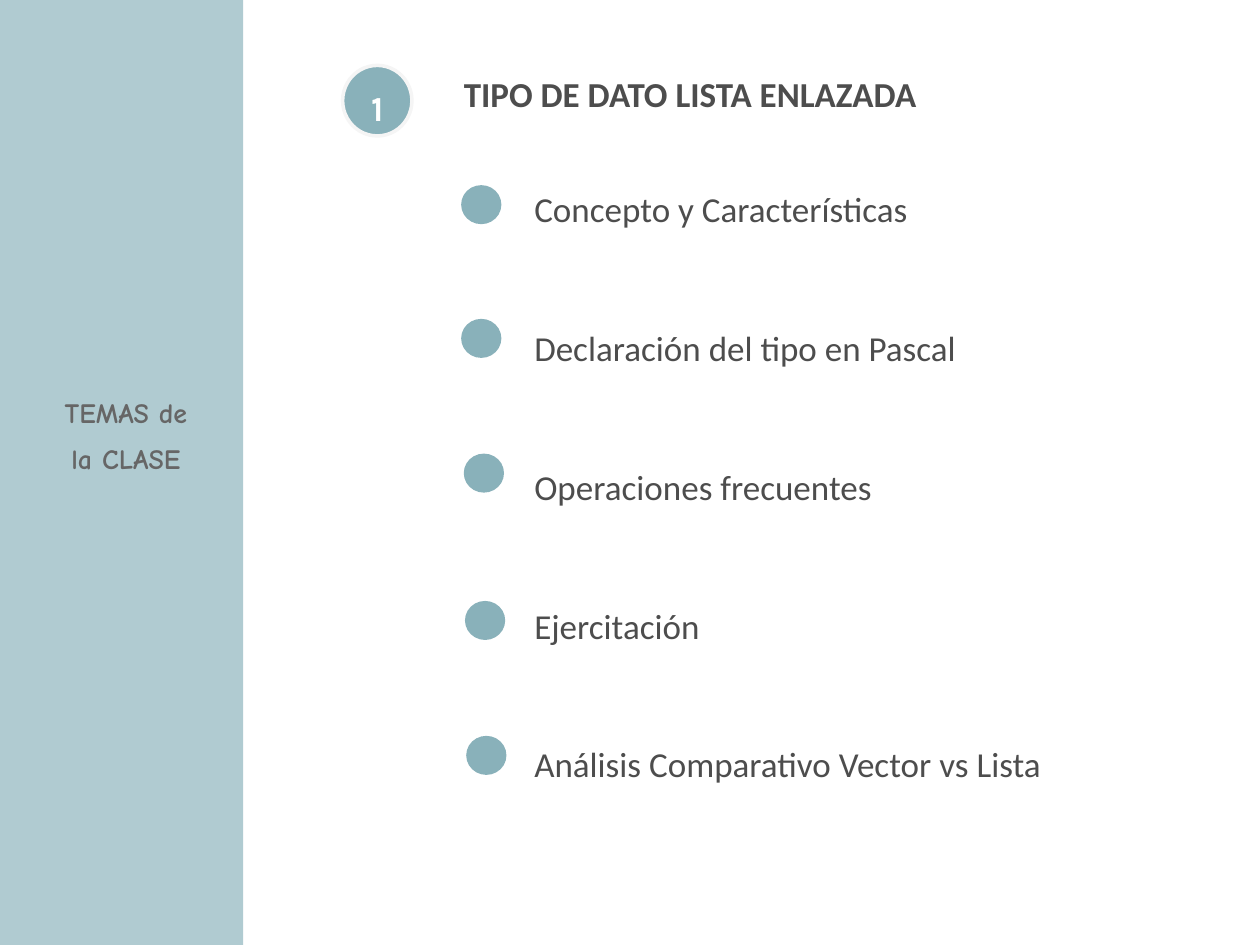
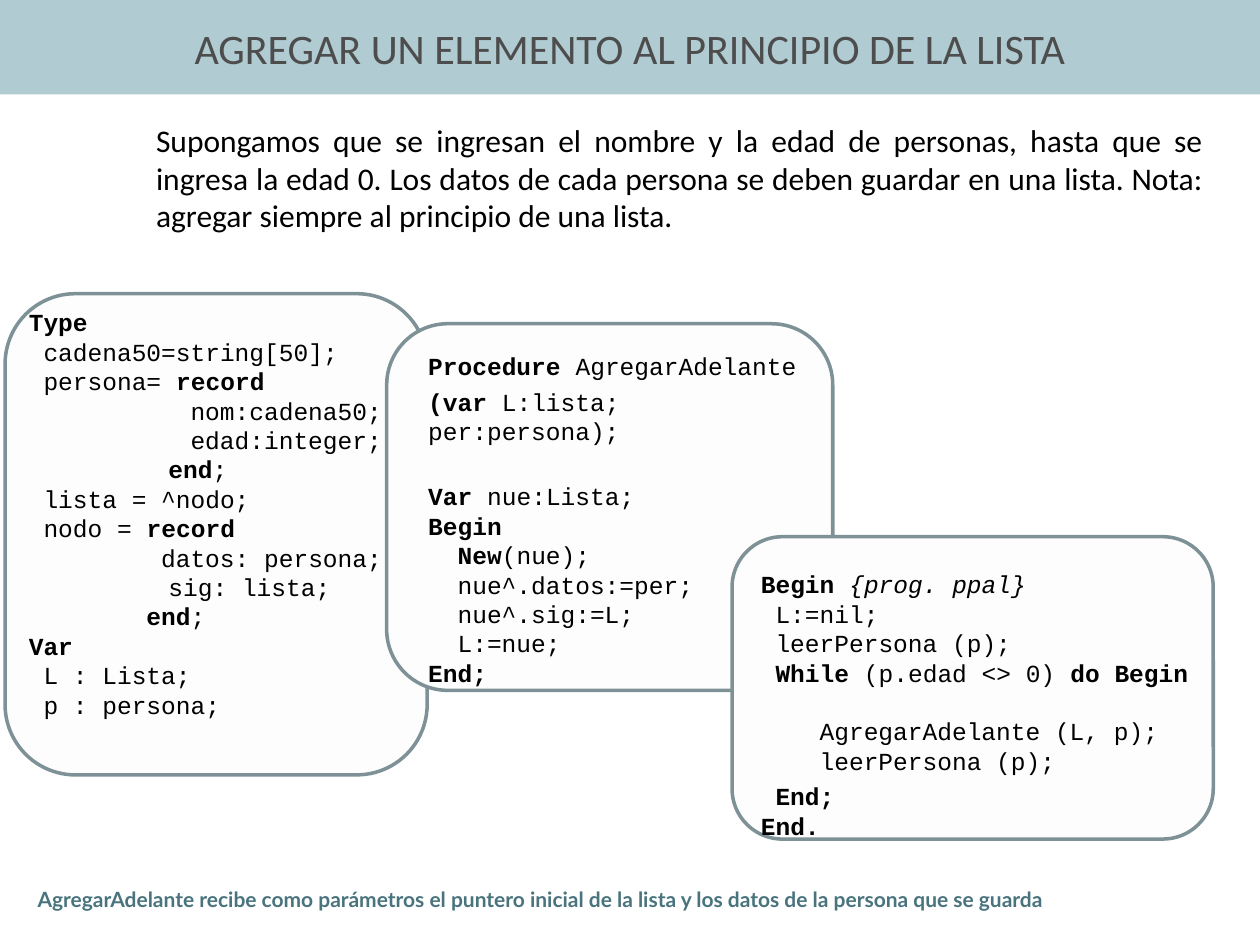
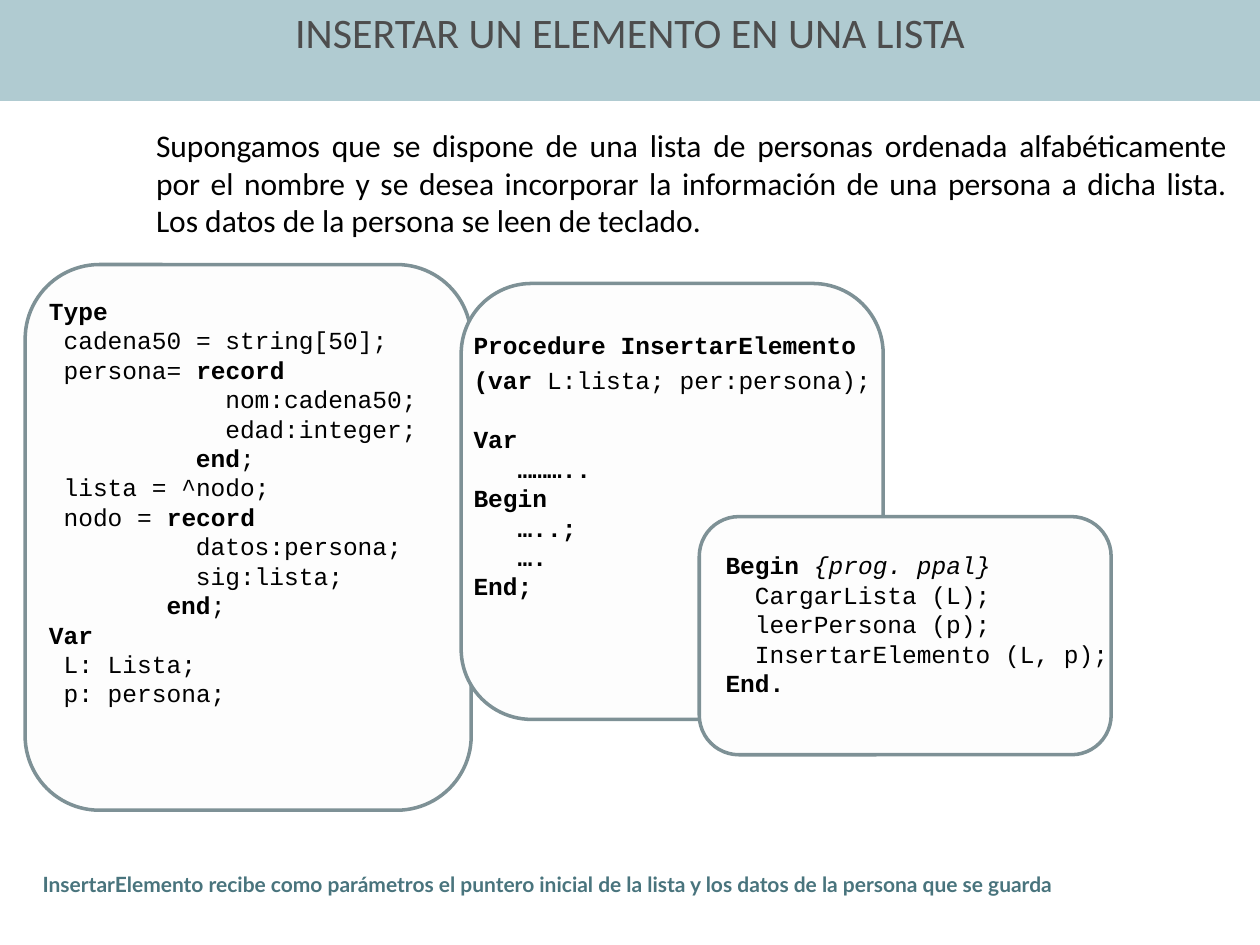
import pptx
import pptx.dml.color
import pptx.enum.shapes
import pptx.enum.text
import pptx.oxml
import pptx.util

Pt = pptx.util.Pt
RGBColor = pptx.dml.color.RGBColor
SHAPE = pptx.enum.shapes.MSO_SHAPE
ALIGN = pptx.enum.text.PP_ALIGN
ANCHOR = pptx.enum.text.MSO_ANCHOR

BAND = RGBColor(0xB0, 0xCB, 0xD1)
DOT = RGBColor(0x89, 0xB1, 0xBA)
RING = RGBColor(0xF5, 0xF5, 0xF5)
CARD = RGBColor(0xFD, 0xFD, 0xFD)
CARD_EDGE = RGBColor(0x7E, 0x91, 0x96)
INK = RGBColor(0x4D, 0x4D, 0x4D)
SIDE_INK = RGBColor(0x66, 0x66, 0x66)
NOTE_INK = RGBColor(0x49, 0x74, 0x7D)
BLACK = RGBColor(0, 0, 0)
WHITE = RGBColor(0xFF, 0xFF, 0xFF)

SLIDE_WIDTH, SLIDE_HEIGHT = 720, 540
CODE_CHAR = 8.4
CODE_LINE = 16.8
CODE_GAP = 3.5
DOT_SIZE = (23, 22.3)

AGENDA = {
    "side": "TEMAS de la CLASE",
    "number": "1",
    "heading": "TIPO DE DATO LISTA ENLAZADA",
    "topics": [
        "Concepto y Características",
        "Declaración del tipo en Pascal",
        "Operaciones frecuentes",
        "Ejercitación",
        "Análisis Comparativo Vector vs Lista",
    ],
    "dots": [(263.5, 105.8), (263.5, 182.2), (265, 259.2), (265.7, 343.4), (266.4, 420.5)],
}

# Code lines hold an indent in characters, the text with *bold* parts, and the space before.
CODE_SLIDES = [
    {
        "title": "AGREGAR UN ELEMENTO AL PRINCIPIO DE LA LISTA",
        "band_height": 54,
        "anchor": ANCHOR.MIDDLE,
        "task": "Supongamos que se ingresan el nombre y la edad de personas, hasta que se ingresa "
                "la edad 0. Los datos de cada persona se deben guardar en una lista. "
                "Nota: agregar siempre al principio de una lista.",
        "task_box": (82.1, 65.5, 612.7, 72),
        "cards": [
            ((2.9, 167.8, 241.2, 275), (9.4, 172.1, 247.7, 242.6), [
                (0, "*Type*"),
                (1, "cadena50=string[50];"),
                (1, "persona= *record*"),
                (11, "nom:cadena50;"),
                (11, "edad:integer;"),
                (9.5, "*end*;"),
                (1, "lista = ^nodo;"),
                (1, "nodo = *record*"),
                (9, "datos: persona;"),
                (9.5, "sig: lista;"),
                (8, "*end*;"),
                (0, "*Var*"),
                (1, "L : Lista;"),
                (1, "p : persona;"),
            ]),
            ((221, 185, 254.9, 209.5), (237.6, 197.3, 226.8, 199.4), [
                (0, "*Procedure* AgregarAdelante"),
                (0, "*(var* L:lista; per:persona);", CODE_GAP),
                (0, "*Var* nue:Lista;", CODE_LINE + CODE_GAP),
                (0, "*Begin*"),
                (2, "*New*(nue);"),
                (2, "nue^.datos:=per;"),
                (2, "nue^.sig:=L;"),
                (2, "L:=nue;"),
                (0, "*End;*"),
            ]),
            ((418.3, 306.7, 275, 172.8), (427.7, 321.8, 259.9, 162), [
                (0, "*Begin *{prog. ppal}"),
                (1, "L:=nil;"),
                (1, "leerPersona (p);"),
                (1, "*While* (p.edad <> 0) *do Begin*"),
                (4, "AgregarAdelante (L, p);", CODE_LINE),
                (4, "leerPersona (p);"),
                (1, "*End;*", CODE_GAP),
                (0, "*End.*"),
            ]),
        ],
        "note": "AgregarAdelante recibe como parámetros el puntero inicial de la lista "
                "y los datos de la persona que se guarda",
        "note_box": (14.4, 498.2, 700, 26.6),
    },
    {
        "title": "INSERTAR UN ELEMENTO EN UNA LISTA",
        "band_height": 57.6,
        "anchor": ANCHOR.TOP,
        "task": "Supongamos que se dispone de una lista de personas ordenada alfabéticamente por "
                "el nombre y se desea incorporar la información de una persona a dicha lista. "
                "Los datos de la persona se leen de teclado.",
        "task_box": (82.1, 68.4, 626.4, 72),
        "cards": [
            ((14.4, 151.2, 254.9, 311.8), (20.9, 165.6, 273.6, 259.2), [
                (0, "*Type*"),
                (1, "cadena50 = string[50];"),
                (1, "persona= *record*"),
                (12, "nom:cadena50;"),
                (12, "edad:integer;"),
                (10, "*end*;"),
                (1, "lista = ^nodo;"),
                (1, "nodo = *record*"),
                (10, "datos:persona;"),
                (10, "sig:lista;"),
                (8, "*end*;"),
                (0, "*Var*"),
                (1, "L: Lista;"),
                (1, "p: persona;"),
            ]),
            ((263.5, 162, 241.2, 249.1), (263.5, 185, 267.1, 162), [
                (0, "*Procedure InsertarElemento*"),
                (0, "*(var* L:lista; per:persona);", CODE_GAP),
                (0, "*Var*", CODE_LINE),
                (3, "*………..*"),
                (0, "*Begin*"),
                (3, "*…..;*"),
                (3, "*….*"),
                (0, "*End;*"),
            ]),
            ((399.6, 295.2, 235.4, 136.1), (407.5, 311, 287.3, 108), [
                (0, "*Begin *{prog. ppal}"),
                (2, "CargarLista (L);"),
                (2, "leerPersona (p);"),
                (2, "InsertarElemento (L, p);"),
                (0, "*End.*"),
            ]),
        ],
        "note": "InsertarElemento recibe como parámetros el puntero inicial de la lista "
                "y los datos de la persona que se guarda",
        "note_box": (17.3, 489.6, 700, 26.6),
    },
]


def place(shape, box):
    shape.left, shape.top, shape.width, shape.height = (Pt(length) for length in box)
    return shape


def write(shape, lines, font="Calibri", size=20, color=INK, bold=False, align=ALIGN.LEFT,
          anchor=ANCHOR.TOP, spacing=1.0, before=0, after=0):
    frame = shape.text_frame
    frame.word_wrap = True
    frame.auto_size = pptx.enum.text.MSO_AUTO_SIZE.NONE
    frame.vertical_anchor = anchor
    for index, line in enumerate([lines] if isinstance(lines, str) else lines):
        indent, text, *gap = (0, line) if isinstance(line, str) else line
        paragraph = frame.paragraphs[0] if index == 0 else frame.add_paragraph()
        paragraph.alignment = align
        paragraph.line_spacing = spacing
        paragraph.space_before = Pt(gap[0] if gap else before)
        paragraph.space_after = Pt(after)
        properties = paragraph._p.get_or_add_pPr()
        properties.set("marL", str(Pt(indent * CODE_CHAR)))
        properties.set("indent", "0")
        pptx.oxml.xmlchemy.OxmlElement
        properties.append(pptx.oxml.xmlchemy.OxmlElement("a:buNone"))
        for part_index, part in enumerate(text.split("*")):
            if part:
                run = paragraph.add_run()
                run.text = part
                run.font.name = font
                run.font.size = Pt(size)
                run.font.color.rgb = color
                run.font.bold = bold or part_index % 2 == 1
                run.font.italic = part.startswith("{")


def add_block(slide, kind, box, fill, edge=None):
    block = slide.shapes.add_shape(kind, *(Pt(length) for length in box))
    block.shadow.inherit = False
    block.fill.solid()
    block.fill.fore_color.rgb = fill
    if edge is None:
        block.line.fill.background()
    else:
        block.line.color.rgb = edge
        block.line.width = Pt(2)
    return block


def add_text(slide, box, lines, **style):
    write(slide.shapes.add_textbox(*(Pt(length) for length in box)), lines, **style)


def add_agenda(deck, agenda):
    slide = deck.slides.add_slide(deck.slide_layouts[1])
    heading, topics = slide.placeholders
    write(place(heading, (257.8, 25.9, 462.2, 54.7)), agenda["heading"], bold=True,
          anchor=ANCHOR.MIDDLE)
    write(place(topics, (298.1, 100.1, 404.6, 352.1)), agenda["topics"],
          align=ALIGN.JUSTIFY, spacing=1.15, before=6, after=45.7)
    add_block(slide, SHAPE.RECTANGLE, (0, 0, 139, SLIDE_HEIGHT), BAND)
    add_text(slide, (28.1, 216, 87.8, 59), agenda["side"], font="Comic Neue", size=16,
             color=SIDE_INK, bold=True, align=ALIGN.CENTER, spacing=1.35)
    number = add_block(slide, SHAPE.OVAL, (195.8, 37.4, 39.6, 40.3), DOT, RING)
    write(number, agenda["number"], font="Karla", color=WHITE, bold=True, align=ALIGN.CENTER,
          anchor=ANCHOR.MIDDLE, spacing=1.35, before=5)
    for corner in agenda["dots"]:
        add_block(slide, SHAPE.OVAL, corner + DOT_SIZE, DOT)


def add_code_slide(deck, content):
    slide = deck.slides.add_slide(deck.slide_layouts[5])
    title = place(slide.shapes.title, (0, 0, SLIDE_WIDTH, content["band_height"]))
    title.fill.solid()
    title.fill.fore_color.rgb = BAND
    write(title, content["title"], size=24, align=ALIGN.CENTER, anchor=content["anchor"])
    add_text(slide, content["task_box"], content["task"], size=18, color=BLACK,
             align=ALIGN.JUSTIFY, before=11.2)
    for card_box, code_box, code in content["cards"]:
        add_block(slide, SHAPE.ROUNDED_RECTANGLE, card_box, CARD, CARD_EDGE)
        add_text(slide, code_box, code, font="Courier New", size=14, color=BLACK,
                 spacing=Pt(CODE_LINE))
    add_text(slide, content["note_box"], content["note"], font="Lato", size=12, color=NOTE_INK,
             bold=True, align=ALIGN.JUSTIFY, spacing=1.35, before=3)


def main():
    deck = pptx.Presentation()
    deck.slide_width, deck.slide_height = Pt(SLIDE_WIDTH), Pt(SLIDE_HEIGHT)
    add_agenda(deck, AGENDA)
    for content in CODE_SLIDES:
        add_code_slide(deck, content)
    deck.save("out.pptx")


if __name__ == "__main__":
    main()
